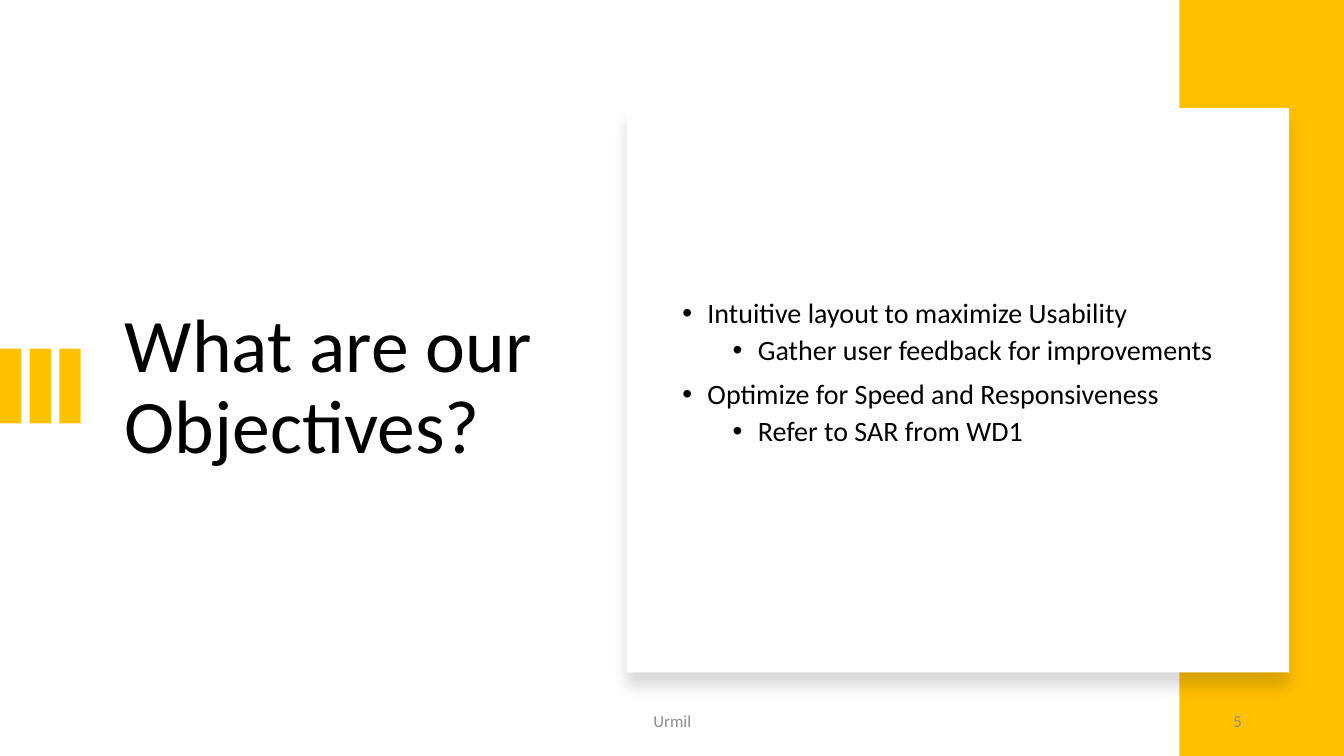
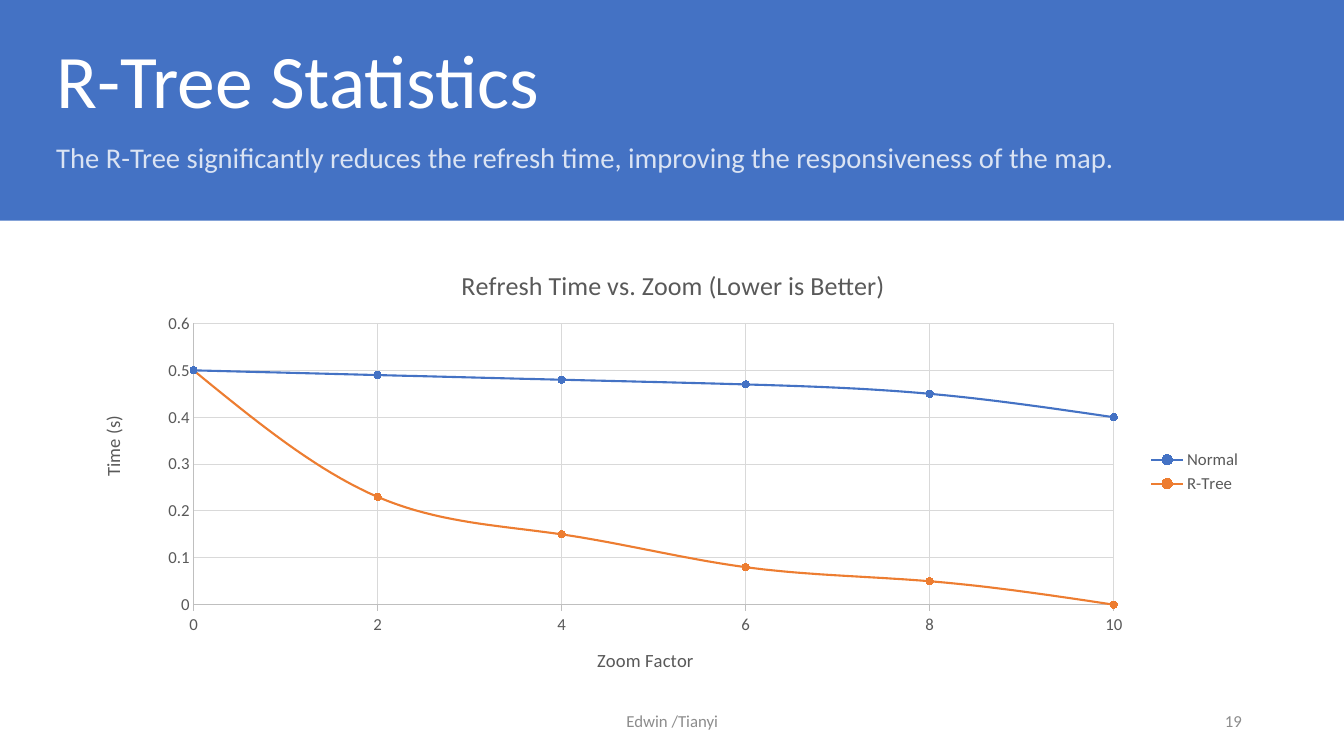
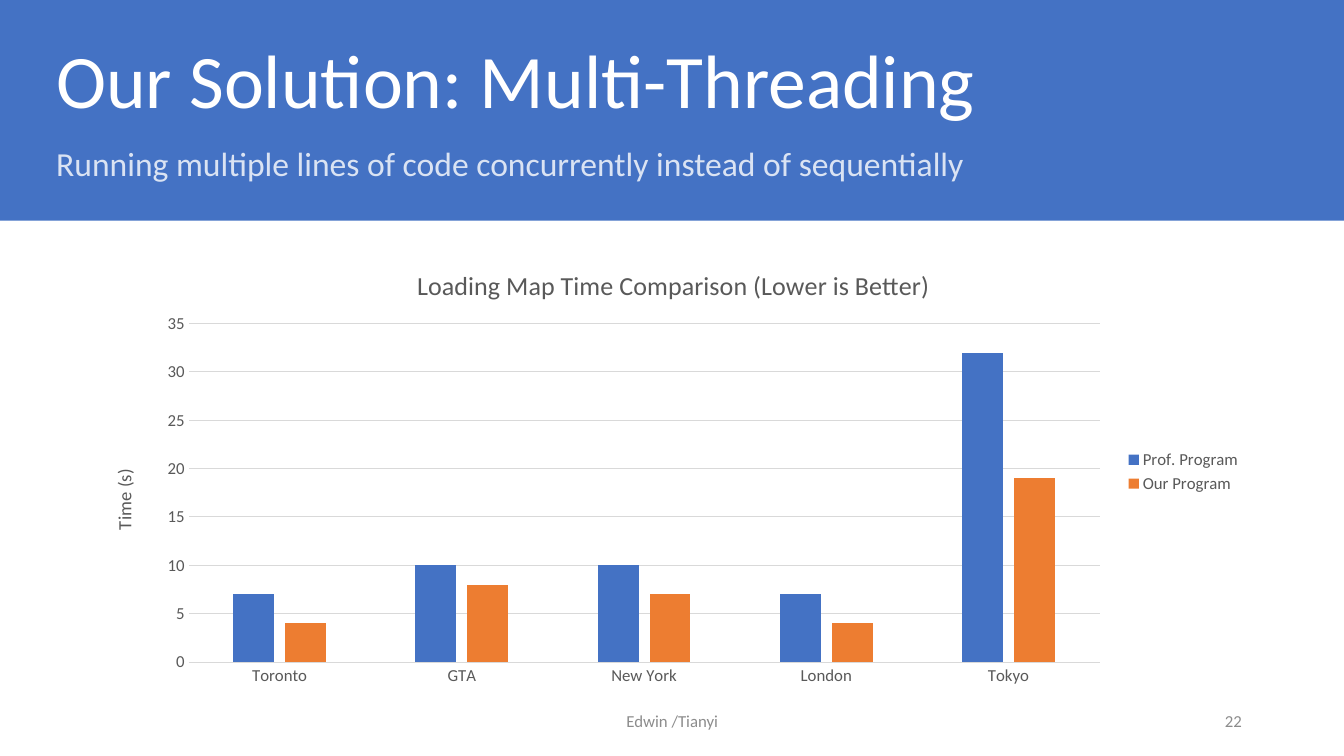
import pptx
import pptx.chart.data
import pptx.dml.color
import pptx.enum.chart
import pptx.enum.shapes
import pptx.enum.text
import pptx.oxml
import pptx.oxml.ns
import pptx.util
from lxml import etree

Inches = pptx.util.Inches
Pt = pptx.util.Pt
qn = pptx.oxml.ns.qn
ALIGN = pptx.enum.text.PP_ALIGN
ANCHOR = pptx.enum.text.MSO_ANCHOR
CHART = pptx.enum.chart.XL_CHART_TYPE
TICK = pptx.enum.chart.XL_TICK_MARK

WIDTH, HEIGHT = 40 / 3, 7.5
FONT = "Calibri"
COLORS = {
    "black": "000000", "white": "FFFFFF", "yellow": "FFC000",
    "blue": "4472C4", "orange": "ED7D31", "pale": "DAE3F3",
    "footer": "8C8C8C", "label": "595959", "axis": "BFBFBF", "grid": "D9D9D9",
}
CHART_BOX = (0.92, 2.46, 11.5, 4.44)
BAND_BOX = (0, 0, WIDTH, 2.19)
FOOTER_BOX = (4.42, 6.95, 8, 0.4)


def rgb(name):
    return pptx.dml.color.RGBColor.from_string(COLORS[name])


def apply(obj, formats):
    for name, value in formats.items():
        setattr(obj, name, value)


def set_font(font, size, color):
    apply(font, {"name": FONT, "size": Pt(size), "bold": False})
    font.color.rgb = rgb(color)


def set_line(line, color, width=0.75):
    line.color.rgb = rgb(color)
    line.width = Pt(width)


def add_rect(s, box, color):
    sp = s.shapes.add_shape(pptx.enum.shapes.MSO_SHAPE.RECTANGLE, *map(Inches, box))
    sp.shadow.inherit = False
    sp.fill.solid()
    sp.fill.fore_color.rgb = rgb(color)
    sp.line.fill.background()
    return sp


def add_text(s, box, text, size, color, frame=None, para=None):
    tf = s.shapes.add_textbox(*map(Inches, box)).text_frame
    apply(tf, {"word_wrap": True, **(frame or {})})
    p = tf.paragraphs[0]
    apply(p, para or {})
    r = p.add_run()
    r.text = text
    set_font(r.font, size, color)


def add_title(s, box, text, color, anchor):
    add_text(s, box, text, 54, color, {"vertical_anchor": anchor}, {"line_spacing": 0.9})


def add_footer(s, box, name, number):
    x, y, w, h = box
    for part, text, align in (
        ((x, y, 4.5, h), name, ALIGN.CENTER),
        ((x + w - 3, y, 3, h), number, ALIGN.RIGHT),
    ):
        add_text(s, part, text, 12, "footer",
                 {"vertical_anchor": ANCHOR.MIDDLE}, {"alignment": align})


def add_side_bars(s, box, count=3, width=0.21):
    x, y, w, h = box
    pitch = (w - width) / (count - 1)
    for i in range(count):
        add_rect(s, (x + i * pitch, y, width, h), "yellow")


def add_soft_shadow(sp):
    effects = sp._element.spPr.find(qn("a:effectLst"))
    shadow = etree.SubElement(effects, qn("a:outerShdw"), blurRad=str(Pt(11)),
                              dist=str(Pt(10)), dir="5400000", algn="t", rotWithShape="0")
    color = etree.SubElement(shadow, qn("a:srgbClr"), val=COLORS["black"])
    etree.SubElement(color, qn("a:alpha"), val="15000")


def add_card(s, box, items):
    x, y, w, h = box
    add_soft_shadow(add_rect(s, box, "white"))
    inner = (x + 0.45, y + 0.39, w - 0.82, h - 0.81)
    tf = s.shapes.add_textbox(*map(Inches, inner)).text_frame
    apply(tf, {"word_wrap": True, "vertical_anchor": ANCHOR.MIDDLE,
               "margin_bottom": Inches(0.35)})
    for i, (level, text) in enumerate(items):
        p = tf.paragraphs[0] if i == 0 else tf.add_paragraph()
        pPr = p._p.get_or_add_pPr()
        pPr.set("marL", str(Inches(0.25 + 0.5 * level)))
        pPr.set("indent", str(Inches(-0.25)))
        etree.SubElement(pPr, qn("a:buFont"), typeface="Arial")
        etree.SubElement(pPr, qn("a:buChar"), char="•")
        space = 0 if i == 0 else 5 if level else 10
        apply(p, {"level": level, "line_spacing": 0.9, "space_before": Pt(space)})
        r = p.add_run()
        r.text = text
        set_font(r.font, 20, "black")


def add_band(s, box, title, subtitle, size, spacing):
    x, y, w, h = box
    add_rect(s, box, "blue")
    add_title(s, (x + 0.46, y + 0.27, 11.5, 1.02), title, "white", ANCHOR.BOTTOM)
    add_text(s, (x + 0.46, y + 1.41, 11.5, 0.46), subtitle, size, "pale",
             para={"line_spacing": spacing})


def set_layout(element, box, place, inner=False):
    for old in element.findall(qn("c:layout")):
        element.remove(old)
    layout = etree.Element(qn("c:layout"))
    manual = etree.SubElement(layout, qn("c:manualLayout"))
    if inner:
        etree.SubElement(manual, qn("c:layoutTarget"), val="inner")
    for key in ("xMode", "yMode"):
        etree.SubElement(manual, qn("c:" + key), val="edge")
    for key, length, whole in zip("xywh", place, box[2:] * 2):
        etree.SubElement(manual, qn("c:" + key), val=str(length / whole))
    element.insert(0 if element.find(qn("c:tx")) is None else 1, layout)


def set_heading(title, text, size, box, place):
    tf = title.text_frame
    tf.text = text
    set_font(tf.paragraphs[0].runs[0].font, size, "label")
    set_layout(title._element, box, place)


def set_axis_title(axis, text, box, place, rotation=0):
    title = axis.axis_title
    set_heading(title, text, 13.3, box, place)
    body = title._element.find(".//" + qn("a:bodyPr"))
    body.set("rot", str(rotation * 60000))
    body.set("vert", "horz")


def set_axis(axis, line, grid, formats):
    apply(axis, {"major_tick_mark": TICK.NONE, "minor_tick_mark": TICK.NONE,
                 "has_major_gridlines": grid, **formats})
    set_font(axis.tick_labels.font, 12, "label")
    if line:
        set_line(axis.format.line, line)
    else:
        axis.format.line.fill.background()
    if grid:
        set_line(axis.major_gridlines.format.line, "grid")


def add_chart(s, box, kind, data, title, title_place, plot_place, time_place):
    chart = s.shapes.add_chart(kind, *map(Inches, box), data).chart
    set_font(chart.font, 10, "black")
    apply(chart, {"has_title": True, "has_legend": True})
    set_heading(chart.chart_title, title, 18.6, box, title_place)
    chart.chart_title.include_in_layout = False
    apply(chart.legend, {"position": pptx.enum.chart.XL_LEGEND_POSITION.RIGHT,
                         "include_in_layout": False})
    set_font(chart.legend.font, 12, "label")
    chart.plots[0].vary_by_categories = False
    set_axis_title(chart.value_axis, "Time (s)", box, time_place, -90)
    set_layout(chart._chartSpace.find(".//" + qn("c:plotArea")), box, plot_place, True)
    return chart


def set_smooth(series):
    element = series._element
    smooth = element.find(qn("c:smooth"))
    if smooth is None:
        smooth = etree.SubElement(element, qn("c:smooth"))
    smooth.set("val", "1")


def add_refresh_chart(s, box):
    data = pptx.chart.data.XyChartData()
    zooms = range(0, 11, 2)
    for name, times in (
        ("Normal", (0.5, 0.49, 0.48, 0.47, 0.45, 0.4)),
        ("R-Tree", (0.5, 0.23, 0.15, 0.08, 0.05, 0)),
    ):
        series = data.add_series(name)
        for zoom, time in zip(zooms, times):
            series.add_data_point(zoom, time)
    chart = add_chart(s, box, CHART.XY_SCATTER_SMOOTH, data,
                      "Refresh Time vs. Zoom (Lower is Better)",
                      (3.61, 0.14), (1, 0.75, 9.13, 2.79), (0.04, 1.63))
    set_axis(chart.category_axis, "axis", True,
             {"minimum_scale": 0, "maximum_scale": 10, "major_unit": 2,
              "major_tick_mark": TICK.OUTSIDE})
    set_axis_title(chart.category_axis, "Zoom Factor", box, (4.97, 3.93))
    set_axis(chart.value_axis, "axis", True,
             {"minimum_scale": 0, "maximum_scale": 0.6, "major_unit": 0.1})
    for series, color in zip(chart.plots[0].series, ("blue", "orange")):
        set_smooth(series)
        set_line(series.format.line, color, 1.5)
        marker = series.marker
        apply(marker, {"style": pptx.enum.chart.XL_MARKER_STYLE.CIRCLE, "size": 5})
        marker.format.fill.solid()
        marker.format.fill.fore_color.rgb = rgb(color)
        set_line(marker.format.line, color)


def add_loading_chart(s, box):
    data = pptx.chart.data.CategoryChartData()
    data.categories = ("Toronto", "GTA", "New York", "London", "Tokyo")
    data.add_series("Prof. Program", (7, 10, 10, 7, 32))
    data.add_series("Our Program", (4, 8, 7, 4, 19))
    chart = add_chart(s, box, CHART.COLUMN_CLUSTERED, data,
                      "Loading Map Time Comparison (Lower is Better)",
                      (3.17, 0.14), (0.95, 0.75, 9.04, 3.36), (0.15, 2.16))
    set_axis(chart.category_axis, "grid", False, {})
    set_axis(chart.value_axis, None, True,
             {"minimum_scale": 0, "maximum_scale": 35, "major_unit": 5})
    apply(chart.plots[0], {"gap_width": 219, "overlap": -27})
    for series, color in zip(chart.plots[0].series, ("blue", "orange")):
        series.format.fill.solid()
        series.format.fill.fore_color.rgb = rgb(color)


def add_slide(prs):
    return prs.slides.add_slide(prs.slide_layouts[6])


def objectives_slide(prs):
    s = add_slide(prs)
    add_title(s, (1.14, 1.46, 4.26, 4.79), "What are our Objectives?", "black", ANCHOR.MIDDLE)
    add_side_bars(s, (0, 3.46, 0.8, 0.74))
    add_rect(s, (11.7, 0, WIDTH - 11.7, HEIGHT), "yellow")
    add_card(s, (6.22, 1.07, 6.57, 5.6), (
        (0, "Intuitive layout to maximize Usability"),
        (1, "Gather user feedback for improvements"),
        (0, "Optimize for Speed and Responsiveness"),
        (1, "Refer to SAR from WD1"),
    ))
    add_footer(s, FOOTER_BOX, "Urmil", "5")


def chart_slide(prs, title, subtitle, size, spacing, draw_chart, number):
    s = add_slide(prs)
    add_band(s, BAND_BOX, title, subtitle, size, spacing)
    draw_chart(s, CHART_BOX)
    add_footer(s, FOOTER_BOX, "Edwin /Tianyi", number)


def main():
    prs = pptx.Presentation()
    apply(prs, {"slide_width": Inches(WIDTH), "slide_height": Inches(HEIGHT)})
    objectives_slide(prs)
    chart_slide(prs, "R-Tree Statistics",
                "The R-Tree significantly reduces the refresh time, "
                "improving the responsiveness of the map.",
                20.4, 0.8, add_refresh_chart, "19")
    chart_slide(prs, "Our Solution: Multi-Threading",
                "Running multiple lines of code concurrently instead of sequentially",
                24, 0.9, add_loading_chart, "22")
    prs.save("out.pptx")


if __name__ == "__main__":
    main()
